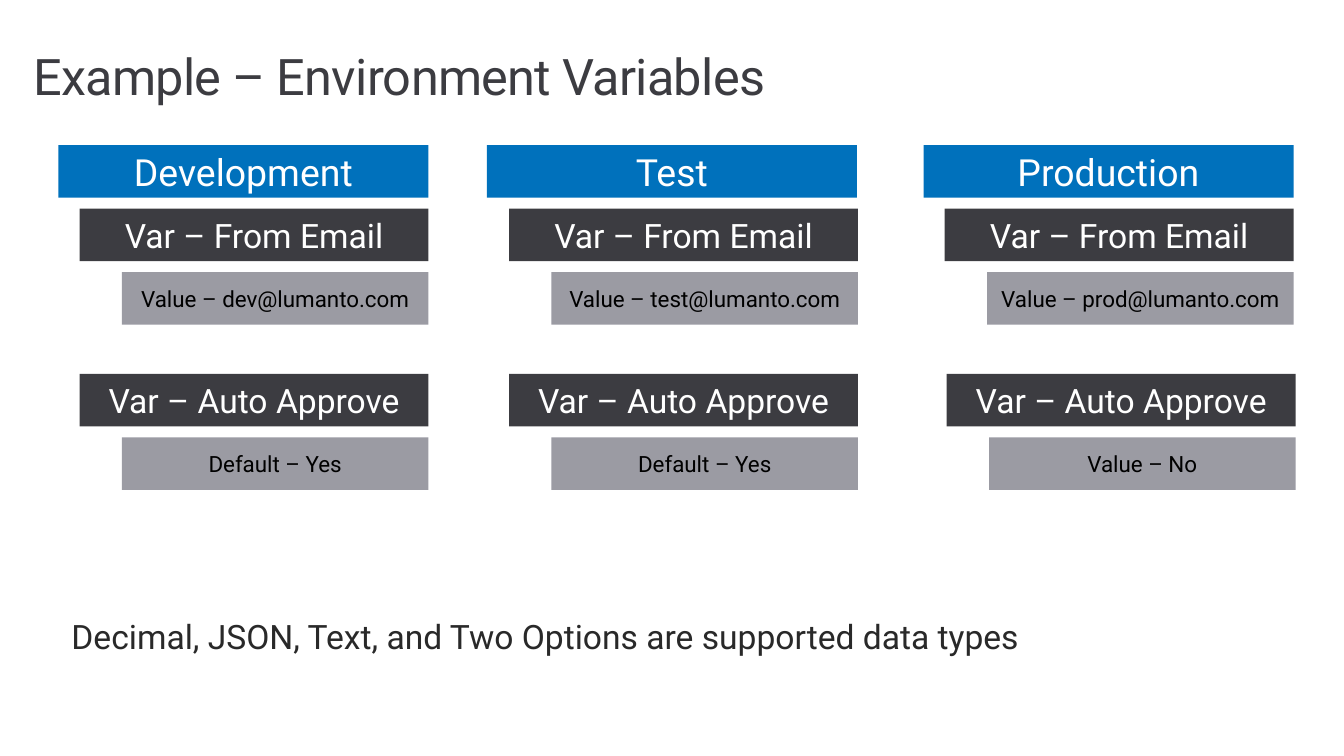
from pptx import Presentation
from pptx.dml.color import RGBColor
from pptx.enum.shapes import MSO_SHAPE
from pptx.enum.text import MSO_ANCHOR, PP_ALIGN
from pptx.util import Inches, Pt

RECT = MSO_SHAPE.RECTANGLE
TOP, MIDDLE = MSO_ANCHOR.TOP, MSO_ANCHOR.MIDDLE
LEFT, CENTER = PP_ALIGN.LEFT, PP_ALIGN.CENTER

BLUE = RGBColor(0x00, 0x71, 0xBC)
DARK = RGBColor(0x3C, 0x3C, 0x41)
GREY = RGBColor(0x9B, 0x9B, 0xA3)
WHITE = RGBColor(0xFF, 0xFF, 0xFF)
BLACK = RGBColor(0x00, 0x00, 0x00)
BODY = RGBColor(0x29, 0x29, 0x29)

FONT = "Roboto"
BAR_HEIGHT = 0.52
ROW_STEP = 0.63
VALUE_INDENT = 0.42
HEADER_TOP = 1.44
EMAIL_TOP = HEADER_TOP + ROW_STEP
APPROVE_TOP = 3.71

# Name, header left, email left, approve left, email value, approve value
ENVIRONMENTS = [
    ("Development", 0.58, 0.79, 0.79, "Value – dev@lumanto.com", "Default – Yes"),
    ("Test", 4.83, 5.05, 5.05, "Value – test@lumanto.com", "Default – Yes"),
    ("Production", 9.16, 9.37, 9.39, "Value – prod@lumanto.com", "Value – No"),
]


def set_text(s, text, size, color, align, anchor, margin_x, margin_y):
    tf = s.text_frame
    tf.word_wrap = True
    tf.vertical_anchor = anchor
    tf.margin_left = tf.margin_right = Inches(margin_x)
    tf.margin_top = tf.margin_bottom = Inches(margin_y)
    p = tf.paragraphs[0]
    p.text = text
    p.alignment = align
    p.font.name = FONT
    p.font.size = Pt(size)
    p.font.color.rgb = color
    return p


def add_bar(slide, left, top, width, text, size, fill, color):
    s = slide.shapes.add_shape(RECT, Inches(left), Inches(top),
                               Inches(width), Inches(BAR_HEIGHT))
    s.shadow.inherit = False
    s.fill.solid()
    s.fill.fore_color.rgb = fill
    s.line.fill.background()
    set_text(s, text, size, color, CENTER, MIDDLE, 0.13, 0.07)


def add_label(slide, left, top, width, height, text, size, color, anchor, margin_x):
    s = slide.shapes.add_textbox(Inches(left), Inches(top),
                                 Inches(width), Inches(height))
    return set_text(s, text, size, color, LEFT, anchor, margin_x, 0.05)


def add_variable(slide, left, top, name, value):
    add_bar(slide, left, top, 3.46, name, 24, DARK, WHITE)
    add_bar(slide, left + VALUE_INDENT, top + ROW_STEP, 3.04, value, 16, GREY, BLACK)


def main():
    prs = Presentation()
    prs.slide_width, prs.slide_height = Inches(13.33), Inches(7.5)
    slide = prs.slides.add_slide(prs.slide_layouts[6])

    # Title, slightly condensed
    p = add_label(slide, 0.33, 0.25, 12.67, 1.07,
                  "Example – Environment Variables", 36, DARK, MIDDLE, 0)
    p.line_spacing = 0.9
    p.runs[0].font._element.set("spc", "-50")

    # One column per environment
    for name, header_x, email_x, approve_x, email, approve in ENVIRONMENTS:
        add_bar(slide, header_x, HEADER_TOP, 3.67, name, 26.7, BLUE, WHITE)
        add_variable(slide, email_x, EMAIL_TOP, "Var – From Email", email)
        add_variable(slide, approve_x, APPROVE_TOP, "Var – Auto Approve", approve)

    # Supported data types
    add_label(slide, 0.61, 6.06, 11.31, 0.5,
              "Decimal, JSON, Text, and Two Options are supported data types",
              24, BODY, TOP, 0.1)

    prs.save("out.pptx")


if __name__ == "__main__":
    main()
